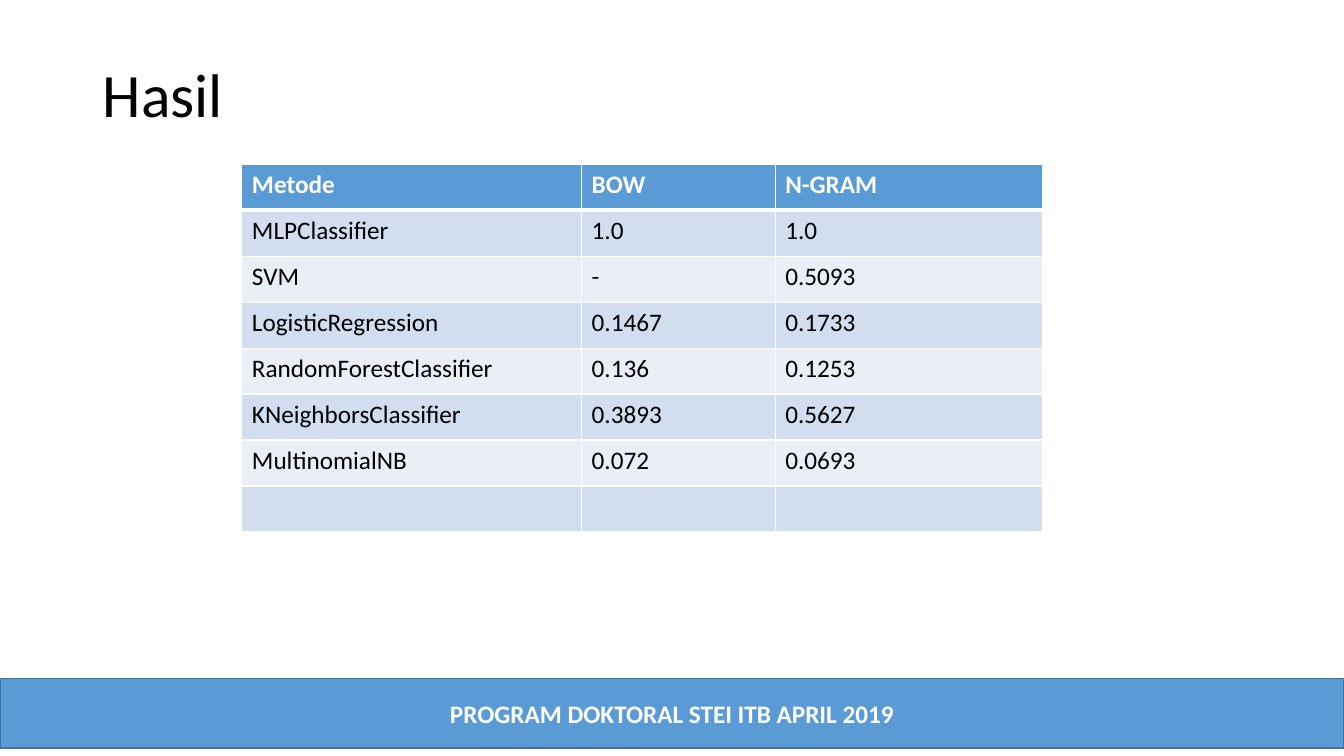
from dataclasses import dataclass

from lxml import etree
from pptx import Presentation, util as u
from pptx.dml.color import RGBColor
from pptx.enum import shapes, text
from pptx.oxml import ns

FONT = "Calibri"
BLACK, WHITE, BLUE, EDGE = "000000", "FFFFFF", "5B9BD5", "43739E"
BANDS = ("D2DEEF", "EAEFF7")

deck = Presentation()
deck.slide_width, deck.slide_height = u.Inches(13.33), u.Inches(7.5)
page = deck.slides.add_slide(deck.slide_layouts[6])


def across(share: float) -> int:
    """Percent of the slide width."""
    return round(deck.slide_width * share / 100)


def down(share: float) -> int:
    """Percent of the slide height."""
    return round(deck.slide_height * share / 100)


@dataclass(frozen=True)
class Area:
    left: float
    top: float
    width: float
    height: float

    def place(self) -> tuple[int, int, int, int]:
        return across(self.left), down(self.top), across(self.width), down(self.height)


@dataclass(frozen=True)
class Style:
    size: int
    color: str
    bold: bool = False
    align: text.PP_ALIGN = text.PP_ALIGN.LEFT


def rgb(value: str) -> RGBColor:
    return RGBColor.from_string(value)


def paint(target, color: str) -> None:
    target.fill.solid()
    target.fill.fore_color.rgb = rgb(color)


def write(frame, words: str, style: Style):
    para = frame.paragraphs[0]
    para.text = words
    para.alignment = style.align
    font = para.font
    font.name, font.size, font.bold = FONT, u.Pt(style.size), style.bold
    font.color.rgb = rgb(style.color)
    return para


def border(cell, side: str, points: float) -> None:
    line = etree.SubElement(cell._tc.get_or_add_tcPr(), ns.qn(f"a:ln{side}"),
                            w=str(u.Pt(points)))
    fill = etree.SubElement(line, ns.qn("a:solidFill"))
    etree.SubElement(fill, ns.qn("a:srgbClr"), val=WHITE)


# Title
title = page.shapes.add_textbox(*Area(6.9, 5.33, 86.25, 15.07).place())
title.text_frame.word_wrap = True
title.text_frame.vertical_anchor = text.MSO_ANCHOR.MIDDLE
write(title.text_frame, "Hasil", Style(44, BLACK)).line_spacing = 0.9

# Results table
RESULTS = (
    ("Metode", "BOW", "N-GRAM"),
    ("MLPClassifier", "1.0", "1.0"),
    ("SVM", "-", "0.5093"),
    ("LogisticRegression", "0.1467", "0.1733"),
    ("RandomForestClassifier", "0.136", "0.1253"),
    ("KNeighborsClassifier", "0.3893", "0.5627"),
    ("MultinomialNB", "0.072", "0.0693"),
    ("", "", ""),
)
COLUMNS = (25.28, 14.4, 19.88)
ROW = 6.08
HEADER, BODY = Style(18, WHITE, bold=True), Style(18, BLACK)

area = Area(18, 21.73, sum(COLUMNS), ROW * len(RESULTS))
table = page.shapes.add_table(len(RESULTS), len(COLUMNS), *area.place()).table
for column, width in zip(table.columns, COLUMNS):
    column.width = across(width)
for row, values in enumerate(RESULTS):
    table.rows[row].height = down(ROW)
    for col, value in enumerate(values):
        cell = table.cell(row, col)
        for side in "LRTB":
            heavy = (row, side) in ((0, "B"), (1, "T"))
            border(cell, side, 3 if heavy else 1)
        paint(cell, BANDS[(row - 1) % 2] if row else BLUE)
        write(cell.text_frame, value, BODY if row else HEADER)

# Footer bar
footer = page.shapes.add_shape(shapes.MSO_SHAPE.RECTANGLE, *Area(0, 89.73, 100, 9.2).place())
footer.shadow.inherit = False
paint(footer, BLUE)
footer.line.color.rgb = rgb(EDGE)
footer.line.width = u.Pt(1)
footer.text_frame.vertical_anchor = text.MSO_ANCHOR.MIDDLE
write(footer.text_frame, "PROGRAM DOKTORAL STEI ITB APRIL 2019",
      Style(18, WHITE, bold=True, align=text.PP_ALIGN.CENTER))

deck.save("out.pptx")
